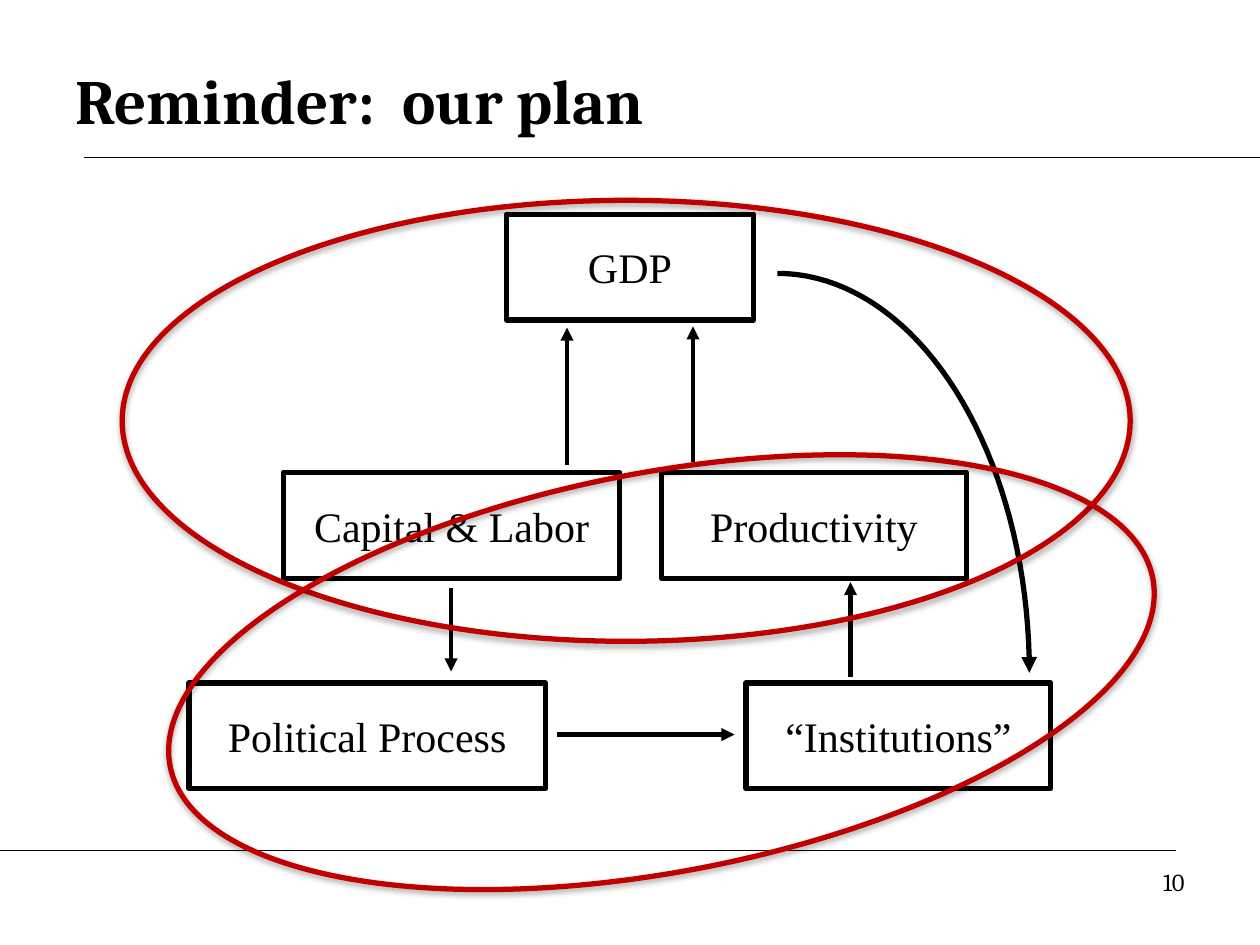
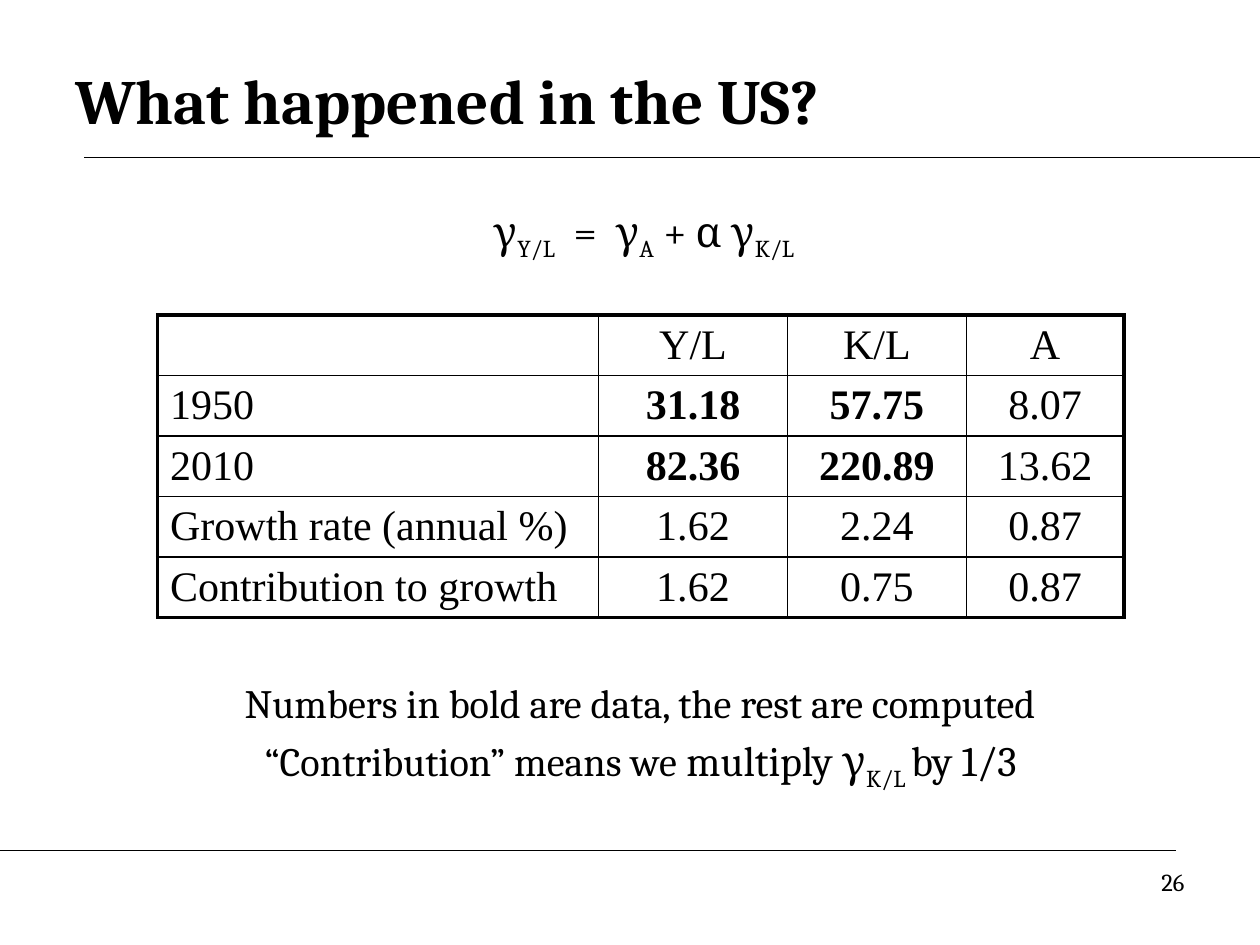
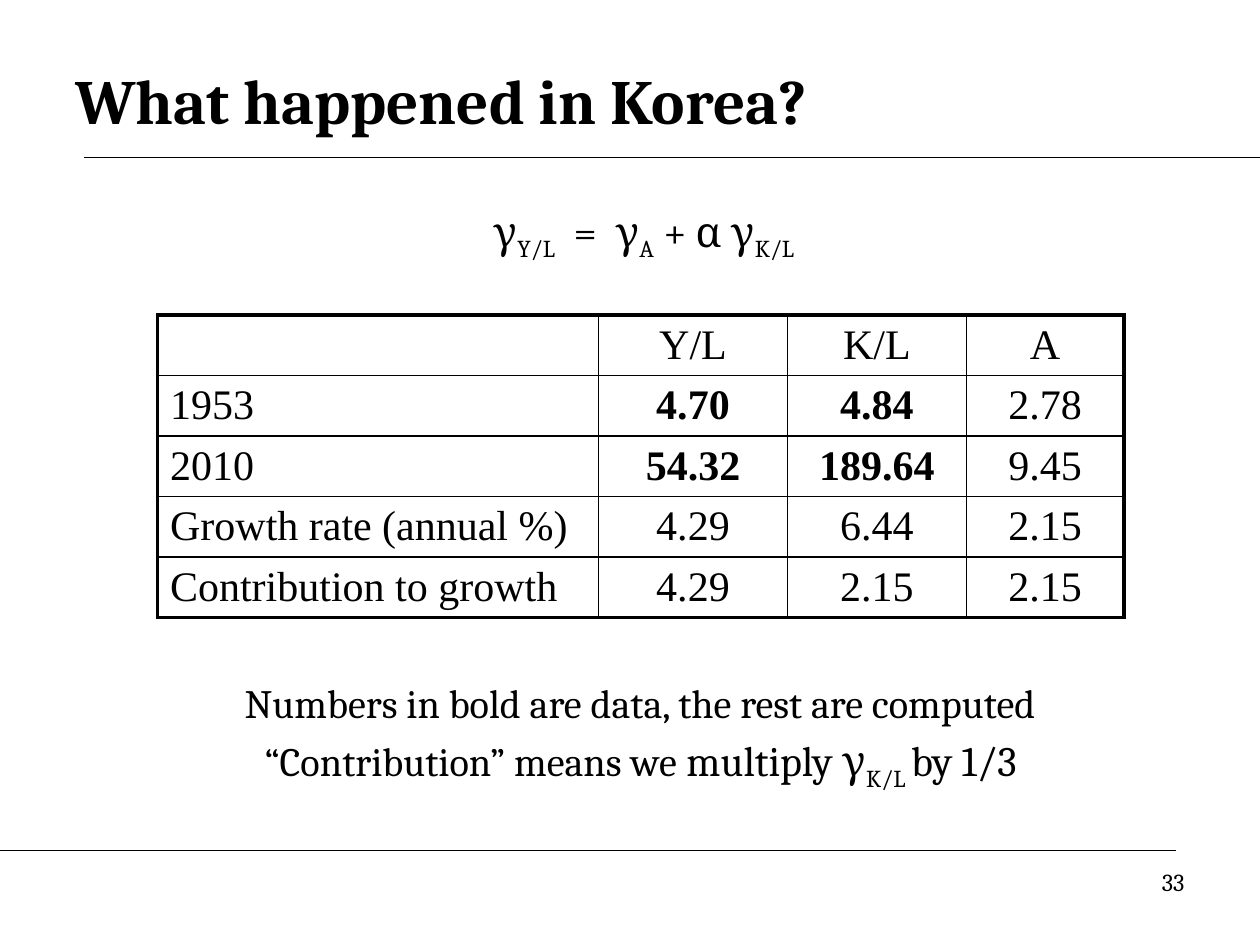
"""Builds three growth-accounting slides: a plan diagram and two country tables."""
import math

from lxml import etree
from pptx import Presentation
from pptx.dml.color import RGBColor
from pptx.enum.shapes import MSO_CONNECTOR, MSO_SHAPE
from pptx.enum.text import MSO_ANCHOR, PP_ALIGN
from pptx.oxml.ns import qn
from pptx.util import Inches, Pt

STRAIGHT = MSO_CONNECTOR.STRAIGHT
RECTANGLE, OVAL = MSO_SHAPE.RECTANGLE, MSO_SHAPE.OVAL
LEFT, CENTER, RIGHT = PP_ALIGN.LEFT, PP_ALIGN.CENTER, PP_ALIGN.RIGHT
TOP, MIDDLE = MSO_ANCHOR.TOP, MSO_ANCHOR.MIDDLE

SERIF, ROMAN = "Cambria", "Times New Roman"
BLACK, RED = "000000", "C00000"

RULES = [((0.67, 1.25), (10, 1.25)), ((0, 6.75), (9.33, 6.75))]
TITLE_AREA = (0.5, 0.33, 9, 0.92)
NUMBER_AREA = (7.17, 6.83, 2.33, 0.52)

PLAN_TITLE, PLAN_NUMBER = "Reminder:  our plan", "10"
BOX_HEIGHT = 0.84
BOXES = [
    ("GDP", 4.02, 1.7, 1.96),
    ("Capital & Labor", 2.25, 3.75, 2.67),
    ("Productivity", 5.25, 3.75, 2.42),
    ("Political Process", 1.5, 5.42, 2.83),
    ("“Institutions”", 5.92, 5.42, 2.42),
]
ARROWS = [
    ((4.5, 3.69), (4.5, 2.6)),
    ((5.5, 3.67), (5.5, 2.59)),
    ((6.75, 5.37), (6.75, 4.62)),
    ((4.42, 5.83), (5.83, 5.83)),
    ((3.58, 4.67), (3.58, 5.33)),
]
FEEDBACK_AREA = (6.17, 2.17, 2, 3.17)
FEEDBACK_STEPS = 40
HIGHLIGHTS = [((0.97, 1.59, 8, 3.5), 0), ((1.28, 3.75, 7.94, 3.17), 349.2)]

FORMULA_AREA = (1.67, 1.58, 6.92, 0.81)
NOTES_AREA = (0.67, 5.33, 8.83, 0.92)
FORMULA = [[("γ", 24, False), ("Y/L", 24, True), ("  =  γ", 24, False),
            ("A", 24, True), (" + α γ", 24, False), ("K/L ", 24, True)]]
NOTES = [
    [("Numbers in bold are data, the rest are computed", 23, False)],
    [("“Contribution” means we ", 23, False), ("multiply γ", 24, False),
     ("K/L ", 24, True), ("by 1/3", 24, False)],
]
TABLE_LEFT, TABLE_TOP, ROW_HEIGHT = 1.25, 2.5, 0.47
COLUMN_WIDTHS = [3.5, 1.5, 1.42, 1.25]
HEADINGS = ["", "Y/L", "K/L", "A"]
DATA_ROWS, DATA_COLUMNS = (1, 2), (1, 2)
COUNTRIES = [
    ("What happened in the US?", "26", [
        ["1950", "31.18", "57.75", "8.07"],
        ["2010", "82.36", "220.89", "13.62"],
        ["Growth rate (annual %)", "1.62", "2.24", "0.87"],
        ["Contribution to growth", "1.62", "0.75", "0.87"]]),
    ("What happened in Korea?", "33", [
        ["1953", "4.70", "4.84", "2.78"],
        ["2010", "54.32", "189.64", "9.45"],
        ["Growth rate (annual %)", "4.29", "6.44", "2.15"],
        ["Contribution to growth", "4.29", "2.15", "2.15"]]),
]


def rgb(code):
    return RGBColor.from_string(code)


def inches(values):
    return [Inches(value) for value in values]


def add_run(paragraph, text, size, font=SERIF, bold=False, subscript=False):
    run = paragraph.add_run()
    run.text = text
    run.font.size, run.font.name, run.font.bold = Pt(size), font, bold
    run.font.color.rgb = rgb(BLACK)
    if subscript:
        run._r.get_or_add_rPr().set("baseline", "-25000")


def add_text(slide, area, lines, align, anchor=TOP, bold=False):
    frame = slide.shapes.add_textbox(*inches(area)).text_frame
    frame.word_wrap, frame.vertical_anchor = True, anchor
    for index, line in enumerate(lines):
        paragraph = frame.add_paragraph() if index else frame.paragraphs[0]
        paragraph.alignment = align
        if index:
            paragraph.space_before = Pt(5)
        for text, size, subscript in line:
            add_run(paragraph, text, size, bold=bold, subscript=subscript)


def set_line(shape, color, width, arrow=False):
    shape.line.color.rgb = rgb(color)
    shape.line.width = Pt(width)
    if arrow:
        etree.SubElement(shape.line._get_or_add_ln(), qn("a:tailEnd"), type="triangle")


def add_line(slide, start, end, width, arrow=False):
    line = slide.shapes.add_connector(STRAIGHT, *inches(start + end))
    set_line(line, BLACK, width, arrow)
    etree.SubElement(line._element.spPr, qn("a:effectLst"))


def add_outline(slide, kind, area, color):
    shape = slide.shapes.add_shape(kind, *inches(area))
    shape.shadow.inherit = False
    shape.fill.background()
    set_line(shape, color, 3)
    return shape


def add_box(slide, label, left, top, width):
    box = add_outline(slide, RECTANGLE, (left, top, width, BOX_HEIGHT), BLACK)
    frame = box.text_frame
    frame.word_wrap, frame.vertical_anchor = True, MIDDLE
    frame.margin_left = frame.margin_right = Inches(0.2)
    frame.margin_top = frame.margin_bottom = Inches(0.2)
    frame.paragraphs[0].alignment = CENTER
    add_run(frame.paragraphs[0], label, 24, ROMAN)


def add_feedback(slide):
    left, top, width, height = FEEDBACK_AREA
    angles = [math.pi / 2 * step / FEEDBACK_STEPS for step in range(FEEDBACK_STEPS + 1)]
    points = [(Inches(left + width * math.sin(angle)),
               Inches(top + height * (1 - math.cos(angle)))) for angle in angles]
    builder = slide.shapes.build_freeform(*points[0])
    builder.add_line_segments(points[1:], close=False)
    curve = builder.convert_to_shape()
    curve.shadow.inherit = False
    curve.fill.background()
    set_line(curve, BLACK, 3, arrow=True)


def add_highlight(slide, area, rotation):
    highlight = add_outline(slide, OVAL, area, RED)
    highlight.rotation = rotation
    effects = highlight._element.spPr.find(qn("a:effectLst"))
    shadow = etree.SubElement(effects, qn("a:outerShdw"), blurRad="40000",
                              dist="23000", dir="5400000", rotWithShape="0")
    color = etree.SubElement(shadow, qn("a:srgbClr"), val=BLACK)
    etree.SubElement(color, qn("a:alpha"), val="35000")


def set_borders(cell, outer_sides):
    properties = cell._tc.get_or_add_tcPr()
    for side in "LRTB":
        width = Pt(2.25 if side in outer_sides else 1)
        border = etree.SubElement(properties, qn(f"a:ln{side}"), w=str(width))
        fill = etree.SubElement(border, qn("a:solidFill"))
        etree.SubElement(fill, qn("a:srgbClr"), val=BLACK)


def add_growth_table(slide, rows):
    last_row, last_column = len(rows) - 1, len(COLUMN_WIDTHS) - 1
    area = (TABLE_LEFT, TABLE_TOP, sum(COLUMN_WIDTHS), ROW_HEIGHT * len(rows))
    table = slide.shapes.add_table(len(rows), len(COLUMN_WIDTHS), *inches(area)).table
    table.first_row = table.horz_banding = False
    for column, width in zip(table.columns, COLUMN_WIDTHS):
        column.width = Inches(width)
    for r, values in enumerate(rows):
        for c, value in enumerate(values):
            cell = table.cell(r, c)
            edges = {"L": c == 0, "R": c == last_column, "T": r == 0, "B": r == last_row}
            set_borders(cell, [side for side, outer in edges.items() if outer])
            cell.fill.background()
            cell.vertical_anchor = MIDDLE
            cell.margin_top = cell.margin_bottom = Inches(0.04)
            if value:
                paragraph = cell.text_frame.paragraphs[0]
                paragraph.alignment = CENTER if c else LEFT
                add_run(paragraph, value, 24, ROMAN, r in DATA_ROWS and c in DATA_COLUMNS)


def start_slide(deck, title, number):
    slide = deck.slides.add_slide(deck.slide_layouts[6])
    for start, end in RULES:
        add_line(slide, start, end, 0.75)
    add_text(slide, TITLE_AREA, [[(title, 36, False)]], LEFT, MIDDLE, bold=True)
    add_text(slide, NUMBER_AREA, [[(number, 14, False)]], RIGHT)
    return slide


def build_plan(deck):
    slide = start_slide(deck, PLAN_TITLE, PLAN_NUMBER)
    for box in BOXES:
        add_box(slide, *box)
    for start, end in ARROWS:
        add_line(slide, start, end, 2.5, arrow=True)
    add_feedback(slide)
    for area, rotation in HIGHLIGHTS:
        add_highlight(slide, area, rotation)


def build_country(deck, title, number, rows):
    slide = start_slide(deck, title, number)
    add_growth_table(slide, [HEADINGS] + rows)
    add_text(slide, NOTES_AREA, NOTES, CENTER)
    add_text(slide, FORMULA_AREA, FORMULA, CENTER)


def main():
    deck = Presentation()
    deck.slide_width, deck.slide_height = Inches(10), Inches(7.5)
    build_plan(deck)
    for country in COUNTRIES:
        build_country(deck, *country)
    deck.save("out.pptx")


if __name__ == "__main__":
    main()
